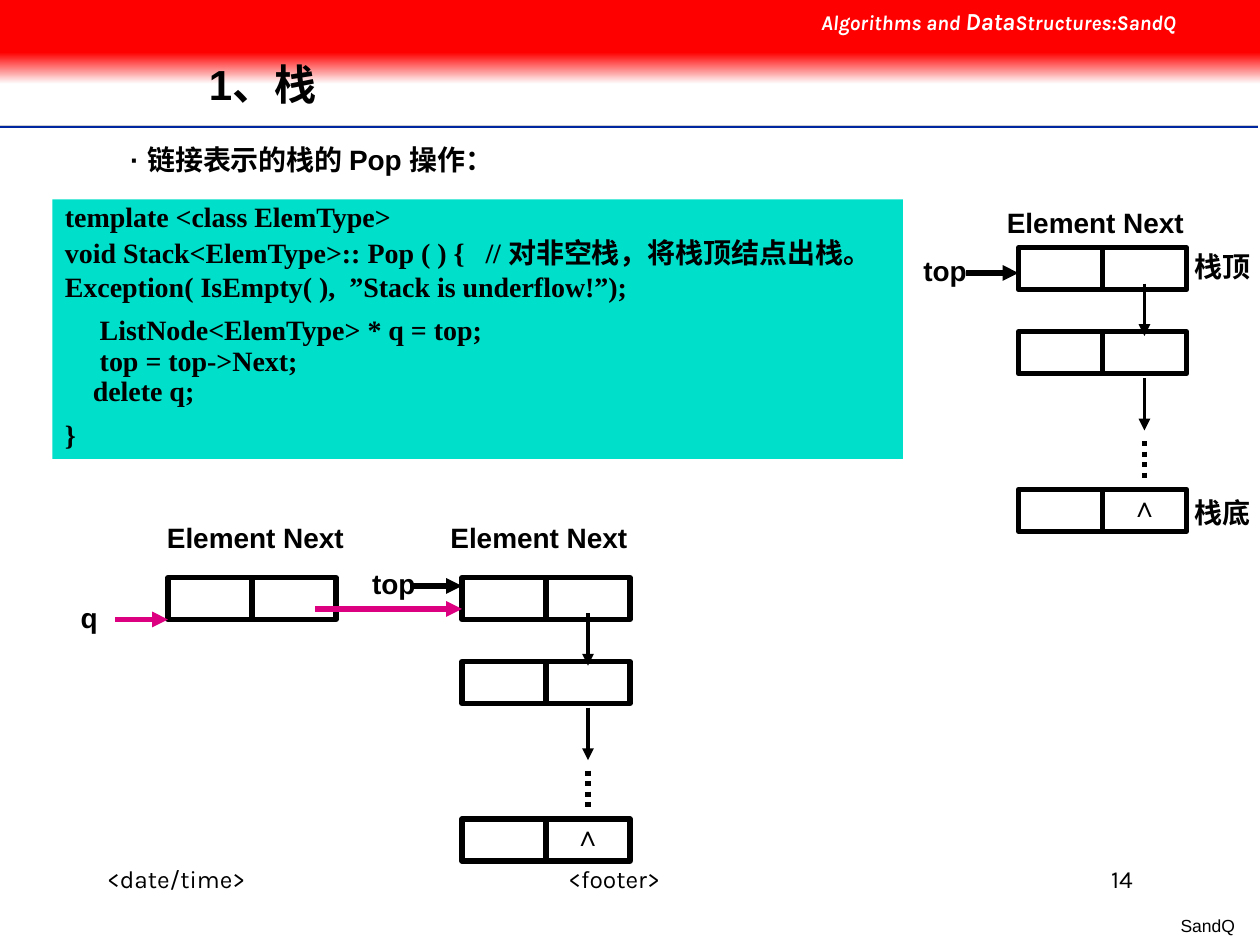
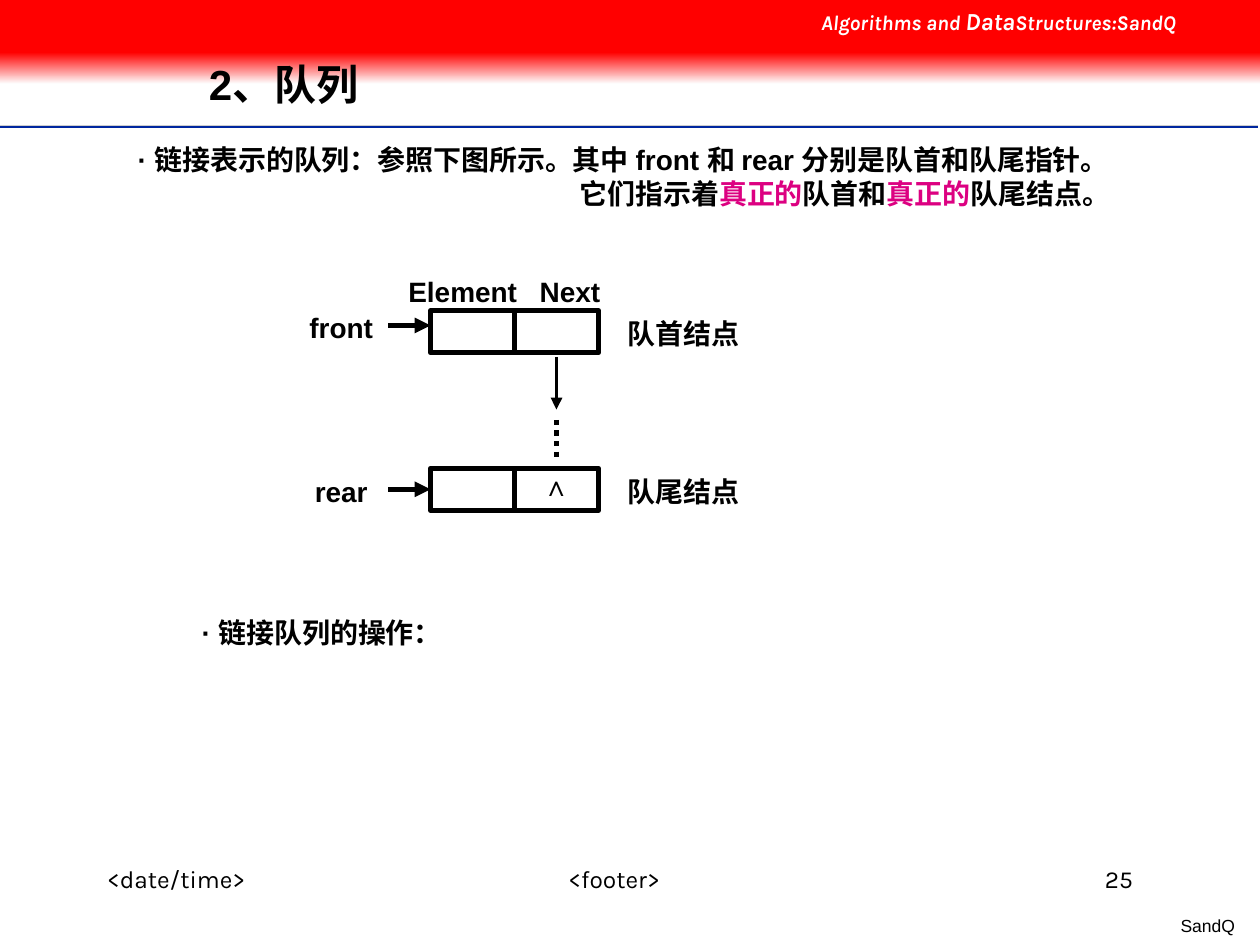
import dataclasses

import lxml.etree
import pptx
import pptx.dml.color
import pptx.enum.dml
import pptx.enum.shapes
import pptx.enum.text
import pptx.oxml.ns
import pptx.util

COLUMNS, ROWS = 120, 90
NODE_WIDTH, NODE_HEIGHT = 16, 4
LABEL_HEIGHT = 4.4
ALIGN = pptx.enum.text.PP_ALIGN
ANCHOR = pptx.enum.text.MSO_ANCHOR


@dataclasses.dataclass(frozen=True)
class Theme:
    black: str = "000000"
    white: str = "FFFFFF"
    band: str = "FF0000"
    band_fade: str = "FEFEFE"
    rule: str = "00279F"
    rule_shade: str = "CECECE"
    code_fill: str = "00DFCA"
    accent: str = "DC0081"
    body_font: str = "Arial"
    code_font: str = "Times New Roman"
    frame_font: str = "Karla"
    title_size: int = 24
    body_size: int = 16
    footer_size: int = 14
    header_size: int = 12
    mark_size: int = 10
    heavy: float = 3
    medium: float = 2.25


def rgb(color):
    return pptx.dml.color.RGBColor.from_string(color)


class Deck:
    """Draws on the current slide; lengths are grid columns and rows."""

    def __init__(self, theme):
        self.theme = theme
        self.presentation = pptx.Presentation()
        self.presentation.slide_width = pptx.util.Inches(10)
        self.presentation.slide_height = pptx.util.Inches(7.5)
        self.slide = None

    def x(self, columns):
        return round(self.presentation.slide_width * columns / COLUMNS)

    def y(self, rows):
        return round(self.presentation.slide_height * rows / ROWS)

    def area(self, left, top, width, height):
        return self.x(left), self.y(top), self.x(width), self.y(height)

    def rectangle(self, left, top, width, height, fill, line=None):
        shape = self.slide.shapes.add_shape(
            pptx.enum.shapes.MSO_SHAPE.RECTANGLE, *self.area(left, top, width, height))
        shape.shadow.inherit = False
        shape.fill.solid()
        shape.fill.fore_color.rgb = rgb(fill)
        if line:
            shape.line.color.rgb = rgb(line)
            shape.line.width = pptx.util.Pt(self.theme.heavy)
        else:
            shape.line.fill.background()
        return shape

    def line(self, start, end, color=None, width=None, arrow=False, dotted=False):
        connector = self.slide.shapes.add_connector(
            pptx.enum.shapes.MSO_CONNECTOR.STRAIGHT,
            self.x(start[0]), self.y(start[1]), self.x(end[0]), self.y(end[1]))
        connector.line.color.rgb = rgb(color or self.theme.black)
        connector.line.width = pptx.util.Pt(width or self.theme.heavy)
        if dotted:
            connector.line.dash_style = pptx.enum.dml.MSO_LINE.ROUND_DOT
        if arrow:
            lxml.etree.SubElement(connector.line._get_or_add_ln(),
                                  pptx.oxml.ns.qn("a:tailEnd"), type="triangle")
        lxml.etree.SubElement(connector._element.spPr, pptx.oxml.ns.qn("a:effectLst"))
        return connector

    def add_run(self, paragraph, text, size=None, color=None, font=None,
                bold=True, italic=False):
        run = paragraph.add_run()
        run.text = text
        run.font.size = pptx.util.Pt(size or self.theme.body_size)
        run.font.name = font or self.theme.body_font
        run.font.color.rgb = rgb(color or self.theme.black)
        run.font.bold = bold
        run.font.italic = italic

    def text_box(self, left, top, width, height, align=ALIGN.LEFT, anchor=ANCHOR.TOP):
        frame = self.slide.shapes.add_textbox(
            *self.area(left, top, width, height)).text_frame
        frame.word_wrap = True
        frame.margin_left = frame.margin_right = 0
        frame.vertical_anchor = anchor
        frame.paragraphs[0].alignment = align
        return frame

    def label(self, text, left, top, width, height=LABEL_HEIGHT, align=ALIGN.LEFT, **style):
        frame = self.text_box(left, top, width, height, align)
        self.add_run(frame.paragraphs[0], text, **style)

    def start_slide(self, title, number):
        theme = self.theme
        self.slide = self.presentation.slides.add_slide(self.presentation.slide_layouts[6])
        for row, color, width in ((12.1, theme.rule_shade, 2), (12.1, theme.rule, 1),
                                  (12.3, theme.white, 1)):
            self.line((0, row), (119.8, row), color, width)
        fade = self.rectangle(0, 5, COLUMNS, 3, theme.band)
        fade.fill.gradient()
        fade.fill.gradient_angle = 270
        for stop, color in zip(fade.fill.gradient_stops, (theme.band, theme.band_fade)):
            stop.color.rgb = rgb(color)
        self.rectangle(0, 0, COLUMNS, 5, theme.band)

        header = self.text_box(78.2, 0, 41, 4.1).paragraphs[0]
        for text, size in (("Algorithms and ", theme.header_size),
                           ("Data", theme.footer_size),
                           ("Structures:SandQ", theme.header_size)):
            self.add_run(header, text, size, theme.white, theme.frame_font, italic=True)

        heading = self.text_box(19.9, 3.8, 88, 8.9, anchor=ANCHOR.MIDDLE).paragraphs[0]
        heading.line_spacing = 0.9
        self.add_run(heading, title, theme.title_size)

        for text, left, width, align in (("<date/time>", 10.2, 20.6, ALIGN.LEFT),
                                         ("<footer>", 41, 35, ALIGN.CENTER),
                                         (number, 87.3, 20.6, ALIGN.RIGHT)):
            self.label(text, left, 81.7, width, 6, align, size=theme.footer_size,
                       font=theme.frame_font, bold=False)
        self.label("SandQ", 107.6, 86.6, 10, 3.2, ALIGN.RIGHT,
                   size=theme.mark_size, bold=False)

    def code(self, left, top, width, height, lines):
        """Each line is a pair of text and line spacing."""
        frame = self.rectangle(left, top, width, height, self.theme.code_fill).text_frame
        frame.word_wrap = True
        frame.vertical_anchor = ANCHOR.TOP
        for index, (text, spacing) in enumerate(lines):
            paragraph = frame.add_paragraph() if index else frame.paragraphs[0]
            paragraph.alignment = ALIGN.LEFT
            paragraph.line_spacing = spacing
            if index:
                paragraph.space_before = pptx.util.Pt(10)
            self.add_run(paragraph, text, font=self.theme.code_font)

    def node(self, left, top):
        """List node: a box halved into Element and Next."""
        box = self.rectangle(left, top, NODE_WIDTH, NODE_HEIGHT,
                             self.theme.white, self.theme.black)
        middle = left + NODE_WIDTH / 2
        divider = self.line((middle, top), (middle, top + NODE_HEIGHT))
        divider.begin_connect(box, 0)
        divider.end_connect(box, 2)
        return box

    def next_arrow(self, left, top):
        column = left + NODE_WIDTH * 3 / 4
        self.line((column, top), (column, top + 5), width=self.theme.medium, arrow=True)

    def rest_of_list(self, left, top):
        """Everything after the node at top: arrow, dots and the last node."""
        column = left + NODE_WIDTH * 3 / 4
        self.next_arrow(left, top + 4.4)
        self.line((column, top + 10.4), (column, top + 14.4), dotted=True)
        last = self.node(left, top + 15)
        self.label("∧", column - 3, top + 14.4, 6, align=ALIGN.CENTER)
        return last

    def stack(self, left, top):
        self.node(left, top)
        self.node(left, top + 8)
        self.next_arrow(left, top + 3.4)
        self.rest_of_list(left, top + 8)

    def pointer(self, name, label_left, label_top, label_width, start, end, color=None):
        self.label(name, label_left, label_top, label_width, align=ALIGN.CENTER)
        return self.line(start, end, color, arrow=True)


def build_stack_slide(deck):
    deck.start_slide("1、栈", "14")
    deck.label("· 链接表示的栈的 Pop 操作：", 12.4, 13, 100)
    deck.code(5, 19, 81, 24.7, (
        ("template <class ElemType>", 0.8),
        ("void Stack<ElemType>:: Pop ( ) {   // 对非空栈，将栈顶结点出栈。", 0.5),
        ("Exception( IsEmpty( ),  ”Stack is underflow!”);", 0.5),
        ("     ListNode<ElemType> * q = top;", 0.8),
        ("     top = top->Next;", 0.3),
        ("    delete q;", 0.4),
        ("}", 0.9),
    ))
    for left, top in ((15.9, 49), (42.9, 49), (95.9, 19)):
        deck.label("Element Next", left, top, 19)

    deck.stack(97, 23.6)
    deck.pointer("top", 86, 23.6, 8, (92, 26), (97, 26))
    deck.label("栈顶", 113.8, 23.2, 6.2)
    deck.label("栈底", 113.8, 46.6, 6.2)

    deck.node(16, 55)
    deck.stack(44, 55)
    deck.pointer("top", 34, 53.4, 7, (39, 55.8), (44, 55.8))
    deck.pointer("q", 5, 56.6, 7, (11, 59), (16, 59), deck.theme.accent)
    deck.line((30, 58), (44, 58), deck.theme.accent, arrow=True)


def build_queue_slide(deck):
    accent = deck.theme.accent
    deck.start_slide("2、队列", "25")
    frame = deck.text_box(13.1, 13, 101, 7.7)
    deck.add_run(frame.paragraphs[0],
                 "· 链接表示的队列：参照下图所示。其中 front 和 rear 分别是队首和队尾指针。")
    second_line = frame.add_paragraph()
    second_line._p.get_or_add_pPr().set("marL", str(deck.x(42.1)))
    for text, color in (("它们指示着", None), ("真正的", accent), ("队首和", None),
                        ("真正的", accent), ("队尾结点。", None)):
        deck.add_run(second_line, text, color=color)
    deck.label("· 链接队列的操作：", 19.2, 58, 95)

    deck.label("Element", 38.9, 25.6, 12)
    deck.label("Next", 51.4, 25.6, 10)
    deck.node(41, 29.6)
    last = deck.rest_of_list(41, 29.6)
    deck.pointer("front", 26, 29, 13, (37, 31), (41, 31))
    rear = deck.pointer("rear", 26, 44.6, 13, (37, 46.6), (41, 46.6))
    rear.end_connect(last, 1)
    deck.label("队首结点", 59.8, 29.6, 15)
    deck.label("队尾结点", 59.8, 44.6, 15)


def main():
    deck = Deck(Theme())
    build_stack_slide(deck)
    build_queue_slide(deck)
    deck.presentation.save("out.pptx")


if __name__ == "__main__":
    main()
